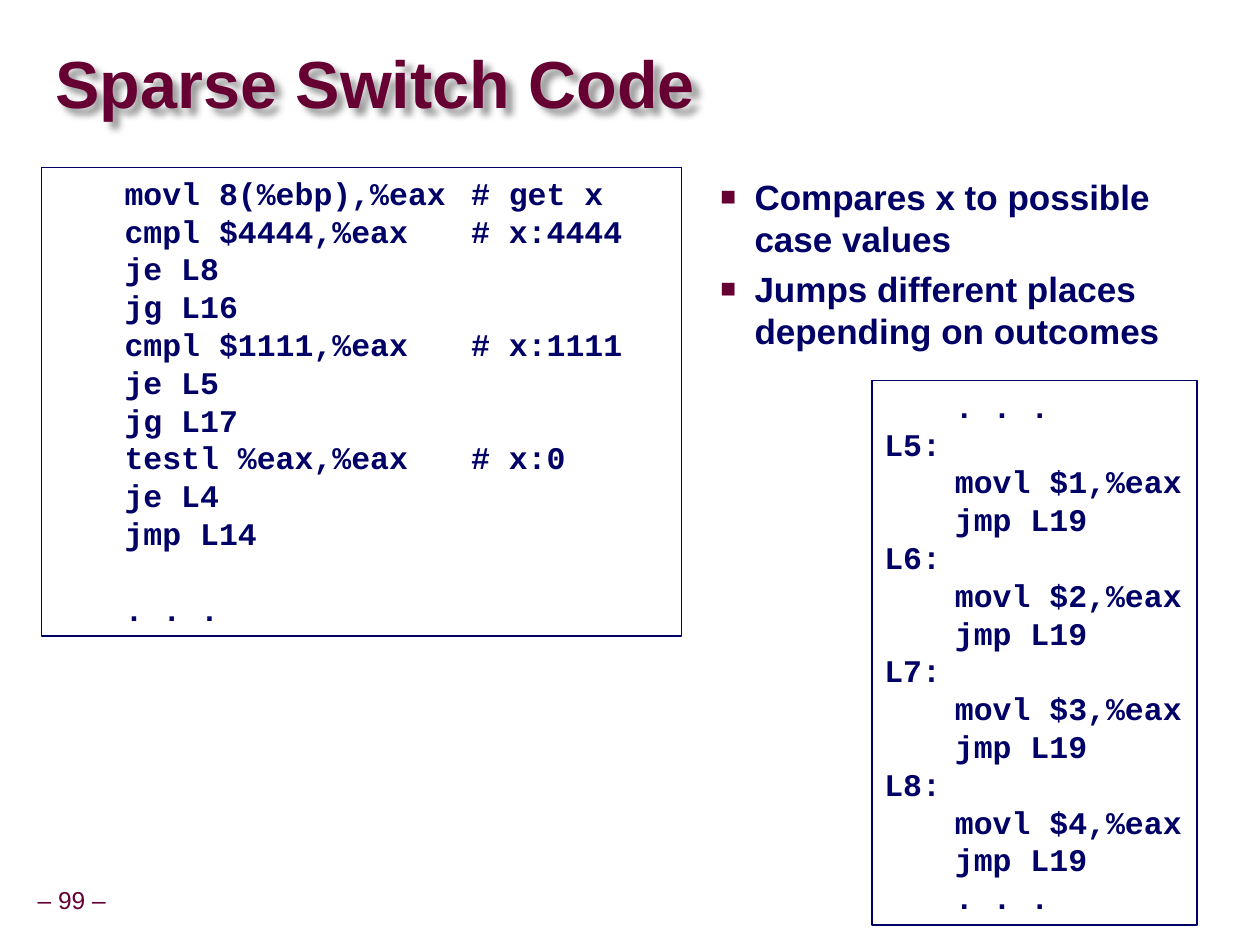
from lxml.etree import SubElement
from pptx import Presentation
from pptx.dml.color import RGBColor
from pptx.enum.shapes import MSO_SHAPE
from pptx.enum.text import MSO_ANCHOR, PP_ALIGN
from pptx.oxml.ns import qn
from pptx.util import Inches, Pt

WINE = RGBColor(0x66, 0x00, 0x33)
NAVY = RGBColor(0x00, 0x00, 0x66)
WHITE = RGBColor(0xFF, 0xFF, 0xFF)
PITCH = Pt(21.6)
TABS = (0.56, 3.31)

TESTS = [
    "\tmovl 8(%ebp),%eax\t# get x",
    "\tcmpl $4444,%eax\t# x:4444",
    "\tje L8",
    "\tjg L16",
    "\tcmpl $1111,%eax\t# x:1111",
    "\tje L5",
    "\tjg L17",
    "\ttestl %eax,%eax\t# x:0",
    "\tje L4",
    "\tjmp L14",
    "\t. . .",
]
POINTS = [
    "Compares x to possible case values",
    "Jumps different places depending on outcomes",
]


def case_code():
    lines = ["\t. . ."]
    for num in range(1, 5):
        lines += [f"L{num + 4}:", f"\tmovl ${num},%eax", "\tjmp L19"]
    return lines + ["\t. . ."]


def place(shape, left, top, width, height):
    shape.left, shape.top = Inches(left), Inches(top)
    shape.width, shape.height = Inches(width), Inches(height)


def style(para, face, size, color, bold=True):
    font = para.font
    font.name, font.size, font.bold = face, Pt(size), bold
    font.color.rgb = color


def add_child(parent, tag, **attrs):
    return SubElement(parent, qn(tag), {key: str(val) for key, val in attrs.items()})


def add_lines(frame, lines):
    frame.text = lines[0]
    for line in lines[1:]:
        frame.add_paragraph().text = line
    return frame.paragraphs


def add_title(slide, text):
    title = slide.shapes.title
    place(title, 0.44, 0.27, 9.53, 0.85)
    frame = title.text_frame
    frame.text = text
    frame.word_wrap = True
    frame.vertical_anchor = MSO_ANCHOR.MIDDLE
    frame.margin_left = frame.margin_right = 0
    frame.margin_top = frame.margin_bottom = 0
    para = frame.paragraphs[0]
    para.alignment = PP_ALIGN.LEFT
    para.line_spacing = 0.87
    style(para, "Arial", 38, WINE)
    effects = add_child(title.element.spPr, "a:effectLst")
    shadow = add_child(effects, "a:outerShdw", blurRad=Inches(0.05),
                       dist=Inches(0.06), dir=2700000)
    color = add_child(shadow, "a:srgbClr", val="000000")
    add_child(color, "a:alpha", val=40000)


def add_points(slide, points):
    box = slide.shapes.add_textbox(Inches(5.08), Inches(1.34), Inches(4.32), Inches(5.71))
    frame = box.text_frame
    frame.word_wrap = True
    for pos, para in enumerate(add_lines(frame, points)):
        props = para._p.get_or_add_pPr()
        props.set("marL", str(Inches(0.81)))
        props.set("indent", str(Inches(-0.27)))
        color = add_child(props, "a:buClr")
        add_child(color, "a:srgbClr", val=WINE)
        add_child(props, "a:buSzPct", val=75000)
        add_child(props, "a:buFont", typeface="Arial")
        add_child(props, "a:buChar", char="■")
        para.line_spacing = Pt(24)
        if pos:
            para.space_before = Pt(5)
        style(para, "Arial", 20, NAVY)


def add_code(slide, lines, *rect):
    box = slide.shapes.add_shape(MSO_SHAPE.RECTANGLE, *map(Inches, rect))
    box.shadow.inherit = False
    box.fill.solid()
    box.fill.fore_color.rgb = WHITE
    box.line.color.rgb = NAVY
    box.line.width = Pt(1)
    frame = box.text_frame
    frame.word_wrap = True
    frame.vertical_anchor = MSO_ANCHOR.TOP
    for para in add_lines(frame, lines):
        tabs = add_child(para._p.get_or_add_pPr(), "a:tabLst")
        for tab in TABS:
            add_child(tabs, "a:tab", pos=Inches(tab), algn="l")
        para.alignment = PP_ALIGN.LEFT
        para.line_spacing = PITCH
        style(para, "Courier New", 18, NAVY)
    return frame


def add_number(slide, text):
    box = slide.shapes.add_textbox(Inches(0.24), Inches(7), Inches(0.66), Inches(0.31))
    frame = box.text_frame
    frame.word_wrap = False
    frame.vertical_anchor = MSO_ANCHOR.MIDDLE
    frame.margin_left = frame.margin_right = Inches(0.05)
    frame.text = text
    para = frame.paragraphs[0]
    para.alignment = PP_ALIGN.CENTER
    para.line_spacing = 0.9
    style(para, "Arial", 14, WINE, False)


def main():
    deck = Presentation()
    deck.slide_width, deck.slide_height = Inches(10), Inches(7.5)
    slide = deck.slides.add_slide(deck.slide_layouts[5])
    add_number(slide, "– 99 –")
    add_title(slide, "Sparse Switch Code")
    add_points(slide, POINTS)
    tests = add_code(slide, TESTS, 0.33, 1.33, 5.08, 3.72)
    tests.paragraphs[-1].space_before = PITCH
    add_code(slide, case_code(), 6.92, 3.02, 2.58, 4.32)
    deck.save("out.pptx")


if __name__ == "__main__":
    main()
